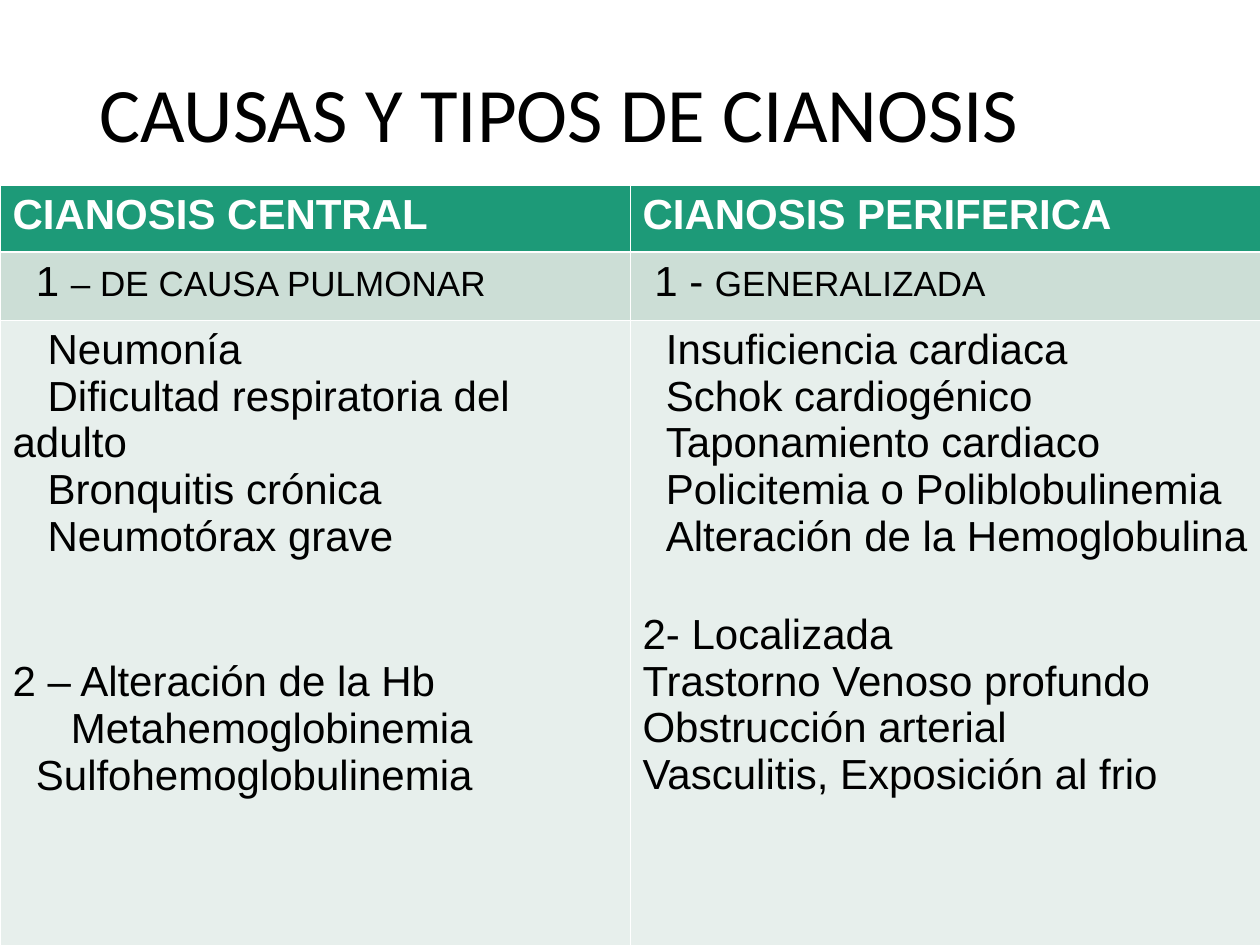
from lxml import etree
from pptx import Presentation
from pptx import util as u
from pptx.dml.color import RGBColor
from pptx.enum import text
from pptx.oxml.ns import qn

WIDTH, HEIGHT = 10, 7.5
TITLE = "CAUSAS Y TIPOS DE CIANOSIS"
TABLE_TOP = 1.47
ROW_HEIGHTS = [0.53, 0.54, 5.25]
INDENT_STEP = 0.0926  # one indent level, in inches
BORDER, THIN, THICK = "FFFFFF", 0.45, 1.47

# A paragraph: indent level, points of space before, runs of (words, size)
HEADINGS = [
    [(0, 0, [("CIANOSIS CENTRAL", 24)])],
    [(0, 0, [("CIANOSIS PERIFERICA", 24)])],
]
FIRST_CAUSES = [
    [(2, 0, [("1 ", 24), ("– DE CAUSA PULMONAR", 20)])],
    [(1, 0, [("1 - ", 24), ("GENERALIZADA", 20)])],
]
DETAILS = [
    [
        (3, 0, [("Neumonía", 24)]),
        (3, 0, [("Dificultad respiratoria del adulto", 24)]),
        (3, 0, [("Bronquitis crónica", 24)]),
        (3, 0, [("Neumotórax grave", 24)]),
        (0, 56, [("2 – Alteración de la Hb", 24)]),
        (5, 0, [("Metahemoglobinemia", 24)]),
        (2, 0, [("Sulfohemoglobulinemia", 24)]),
    ],
    [
        (2, 0, [("Insuficiencia cardiaca", 24)]),
        (2, 0, [("Schok cardiogénico", 24)]),
        (2, 0, [("Taponamiento cardiaco", 24)]),
        (2, 0, [("Policitemia o Poliblobulinemia", 24)]),
        (2, 0, [("Alteración de la Hemoglobulina", 24)]),
        (0, 29, [("2- Localizada", 24)]),
        (0, 0, [("Trastorno Venoso profundo", 24)]),
        (0, 0, [("Obstrucción arterial", 24)]),
        (0, 0, [("Vasculitis, Exposición al frio", 24)]),
    ],
]
# Cells, fill, font colour, bold, top and bottom border widths
ROWS = [
    (HEADINGS, "1D9A78", "FFFFFF", True, THIN, THICK),
    (FIRST_CAUSES, "CCDED6", "000000", False, THICK, THIN),
    (DETAILS, "E7EFEC", "000000", False, THIN, THIN),
]


def rgb(value):
    return RGBColor.from_string(value)


def add_run(paragraph, words, size, font, color, bold=False):
    run = paragraph.add_run()
    run.text = words
    for name, value in {"size": u.Pt(size), "name": font, "bold": bold}.items():
        setattr(run.font, name, value)
    run.font.color.rgb = rgb(color)


def set_borders(cell, top, bottom):
    properties = cell._tc.get_or_add_tcPr()
    for side, width in {"L": THIN, "R": THIN, "T": top, "B": bottom}.items():
        line = etree.SubElement(properties, qn(f"a:ln{side}"), w=str(u.Pt(width)))
        fill = etree.SubElement(line, qn("a:solidFill"))
        etree.SubElement(fill, qn("a:srgbClr"), val=BORDER)


def write_cell(cell, paragraphs, color, bold):
    frame = cell.text_frame
    for i, (level, gap, runs) in enumerate(paragraphs):
        paragraph = frame.add_paragraph() if i else frame.paragraphs[0]
        if level:  # only the first line is indented
            properties = paragraph._p.get_or_add_pPr()
            properties.set("marL", "0")
            properties.set("indent", str(u.Inches(level * INDENT_STEP)))
        if gap:
            paragraph.space_before = u.Pt(gap)
        for words, size in runs:
            add_run(paragraph, words, size, "Arial", color, bold)


def add_title(slide):
    box = slide.shapes.add_textbox(*map(u.Inches, (0.69, 0.4, 8.63, 1.07)))
    frame = box.text_frame
    frame.word_wrap = True
    frame.vertical_anchor = text.MSO_ANCHOR.MIDDLE
    paragraph = frame.paragraphs[0]
    paragraph.line_spacing = 0.9
    add_run(paragraph, TITLE, 44, "Calibri", "000000")


def add_causes(slide):
    area = (0, TABLE_TOP, WIDTH, sum(ROW_HEIGHTS))
    causes = slide.shapes.add_table(
        len(ROWS), len(HEADINGS), *map(u.Inches, area)).table
    causes.first_row = causes.horz_banding = False
    for r, (cells, fill, color, bold, top, bottom) in enumerate(ROWS):
        causes.rows[r].height = u.Inches(ROW_HEIGHTS[r])
        for c, paragraphs in enumerate(cells):
            cell = causes.cell(r, c)
            set_borders(cell, top, bottom)
            cell.fill.solid()
            cell.fill.fore_color.rgb = rgb(fill)
            write_cell(cell, paragraphs, color, bold)


def main():
    deck = Presentation()
    deck.slide_width, deck.slide_height = u.Inches(WIDTH), u.Inches(HEIGHT)
    slide = deck.slides.add_slide(deck.slide_layouts[6])
    add_title(slide)
    add_causes(slide)
    deck.save("out.pptx")


if __name__ == "__main__":
    main()
